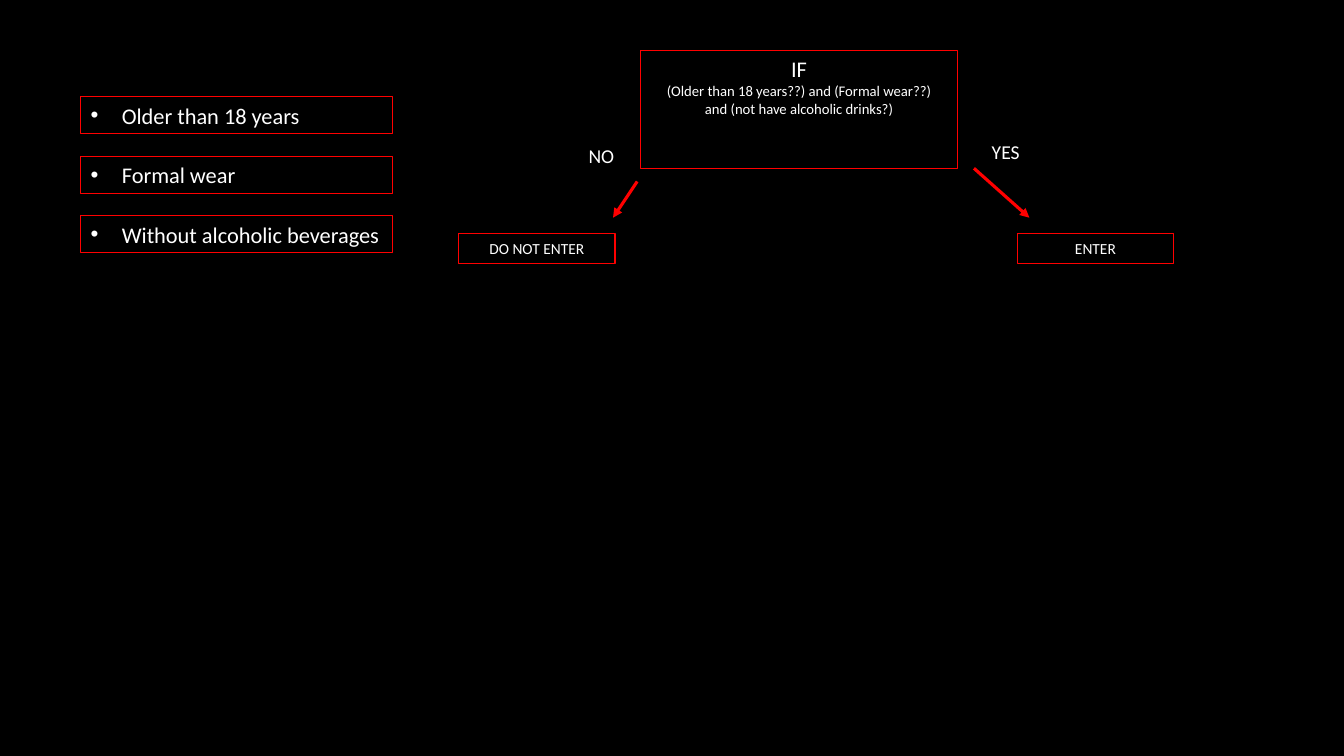
from lxml.etree import SubElement
from pptx import Presentation
from pptx.dml.color import RGBColor
from pptx.enum.shapes import MSO_CONNECTOR as CONN
from pptx.enum.text import MSO_ANCHOR as ANCHOR, PP_ALIGN as ALIGN
from pptx.oxml.ns import qn
from pptx.util import Inches, Pt

BLACK, WHITE, RED = "000000", "FFFFFF", "FF0000"


def paint(color_format, value):
    """Set a colour from a hex string."""
    color_format.rgb = RGBColor.from_string(value)


def add_text(slide, left, top, width, height, lines, align=ALIGN.CENTER):
    """Add a text box with one paragraph per (text, size) pair."""
    s = slide.shapes.add_textbox(Inches(left), Inches(top), Inches(width), Inches(height))
    tf = s.text_frame
    tf.word_wrap = True
    tf.vertical_anchor = ANCHOR.TOP
    tf.text = "\n".join(text for text, size in lines)
    for p, (text, size) in zip(tf.paragraphs, lines):
        p.alignment = align
        font = p.runs[0].font
        font.name, font.size = "Calibri", Pt(size)
        paint(font.color, WHITE)
    return s


def add_box(slide, left, top, width, height, lines, align=ALIGN.CENTER):
    """Add a text box with a thin red outline."""
    s = add_text(slide, left, top, width, height, lines, align)
    paint_line(s.line, 0.75)
    return s


def paint_line(line, width):
    """Make a line red with the given width in points."""
    line.fill.solid()
    paint(line.fill.fore_color, RED)
    line.width = Pt(width)


def add_condition(slide, top, text):
    """Add an outlined box that holds one bulleted condition."""
    s = add_box(slide, 0.8, top, 3.09, 0.37, [(text, 16)], ALIGN.LEFT)
    pPr = s.text_frame.paragraphs[0]._p.get_or_add_pPr()
    indent = Inches(0.31)
    pPr.set("marL", str(indent))
    pPr.set("indent", str(-indent))
    SubElement(pPr, qn("a:buFont"), typeface="Arial")
    SubElement(pPr, qn("a:buChar"), char="•")


def add_arrow(slide, x1, y1, x2, y2):
    """Add a red arrow that points at its second end."""
    s = slide.shapes.add_connector(CONN.STRAIGHT, Inches(x1), Inches(y1), Inches(x2), Inches(y2))
    paint_line(s.line, 2.25)
    SubElement(s.line._get_or_add_ln(), qn("a:tailEnd"), type="triangle")
    SubElement(s._element.spPr, qn("a:effectLst"))


def main():
    """Build the slide and save it."""
    prs = Presentation()
    prs.slide_width, prs.slide_height = Inches(13.33), Inches(7.5)
    slide = prs.slides.add_slide(prs.slide_layouts[6])
    slide.background.fill.solid()
    paint(slide.background.fill.fore_color, BLACK)

    conditions = ["Older than 18 years", "Formal wear", "Without alcoholic beverages"]
    for i, text in enumerate(conditions):
        add_condition(slide, 0.96 + 0.59 * i, text)

    add_box(slide, 6.35, 0.5, 3.15, 1.17, [
        ("IF", 16),
        ("(Older than 18 years??) and (Formal wear??)", 10.5),
        ("and (not have alcoholic drinks?)", 10.5),
    ])
    for left, text in [(4.55, "DO NOT ENTER"), (10.09, "ENTER")]:
        add_box(slide, left, 2.32, 1.55, 0.29, [(text, 11)])
    for left, top, text in [(9.59, 1.34, "YES"), (5.58, 1.38, "NO")]:
        add_text(slide, left, top, 0.77, 0.34, [(text, 14)])
    add_arrow(slide, 6.32, 1.8, 6.08, 2.16)
    add_arrow(slide, 9.66, 1.67, 10.21, 2.16)
    prs.save("out.pptx")


if __name__ == "__main__":
    main()
